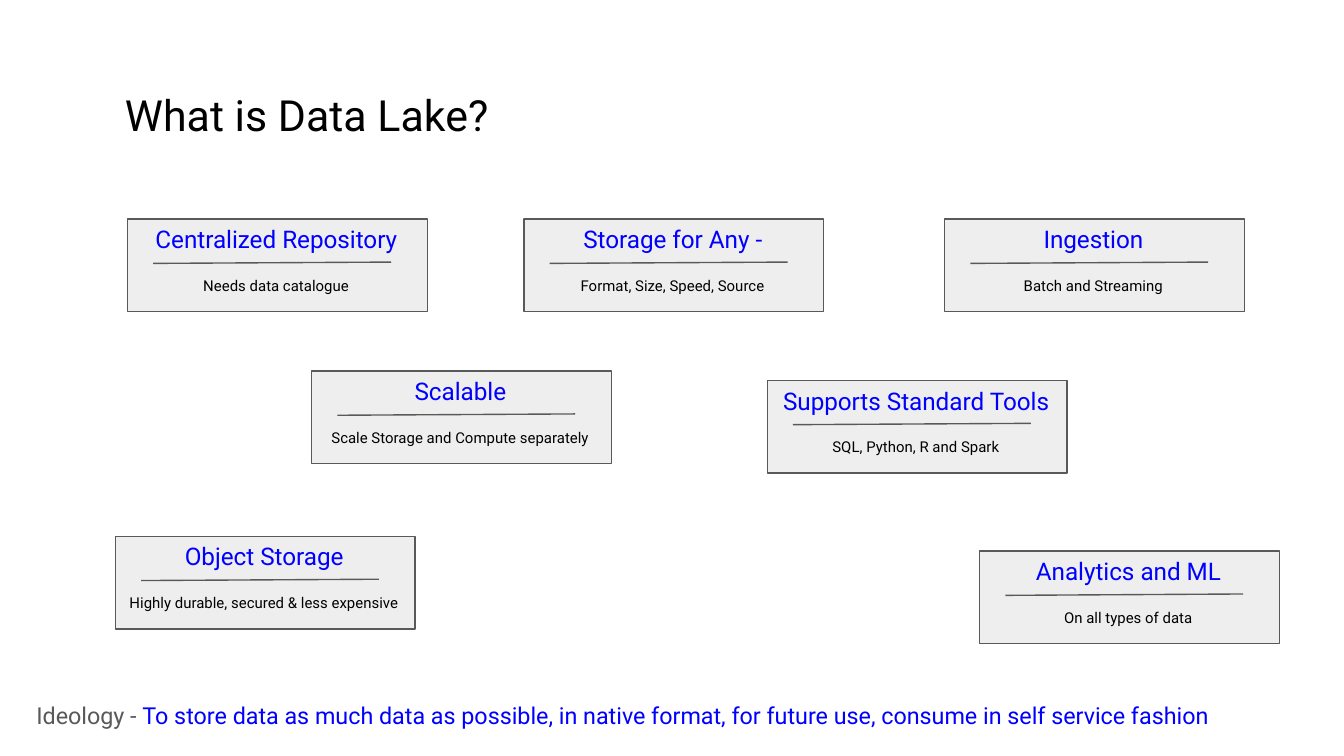
from dataclasses import dataclass

from lxml.etree import SubElement
from pptx import Presentation
from pptx.dml.color import RGBColor
from pptx.enum.shapes import MSO_CONNECTOR, MSO_SHAPE
from pptx.enum.text import MSO_ANCHOR, MSO_AUTO_SIZE, PP_ALIGN
from pptx.oxml.ns import qn
from pptx.shapes.group import GroupShape
from pptx.slide import Slide
from pptx.text.text import TextFrame, _Paragraph
from pptx.util import Inches, Pt


@dataclass(frozen=True)
class Theme:
    font: str = "Roboto"
    black: RGBColor = RGBColor(0x00, 0x00, 0x00)
    blue: RGBColor = RGBColor(0x00, 0x00, 0xFF)
    gray: RGBColor = RGBColor(0x59, 0x59, 0x59)
    panel: RGBColor = RGBColor(0xEE, 0xEE, 0xEE)
    title_size: float = 23
    heading_size: float = 13
    ideology_size: float = 12.5
    detail_size: float = 8
    line_width: float = 0.75


@dataclass(frozen=True)
class Card:
    heading: str
    detail: str
    left: float
    top: float


THEME = Theme()
CARD_W, CARD_H = 2.23, 0.69
TEXT_W, TEXT_DX = 2.39, -0.09
INSET = 0.1

CARDS = [
    Card("Centralized Repository", "Needs data catalogue", 0.95, 1.63),
    Card("Storage for Any -", "Format, Size, Speed, Source", 3.9, 1.63),
    Card("Ingestion", "Batch and Streaming", 7.03, 1.63),
    Card("Object Storage", "Highly durable, secured & less expensive", 0.86, 3.99),
    Card("Supports Standard Tools", "SQL, Python, R and Spark", 5.71, 2.83),
    Card("Analytics and ML", "On all types of data", 7.29, 4.1),
    Card("Scalable", "Scale Storage and Compute separately", 2.32, 2.76),
]


def add_run(p: _Paragraph, text: str, size: float, color: RGBColor) -> None:
    r = p.add_run()
    r.text = text
    r.font.name = THEME.font
    r.font.size = Pt(size)
    r.font.color.rgb = color


def set_frame(tf: TextFrame, inset: float, anchor: MSO_ANCHOR) -> None:
    tf.margin_left = tf.margin_right = Inches(inset)
    tf.margin_top = tf.margin_bottom = Inches(inset)
    tf.vertical_anchor = anchor
    tf.word_wrap = True
    tf.auto_size = MSO_AUTO_SIZE.NONE


def place(sp, left: float, top: float, width: float, height: float) -> None:
    sp.left, sp.top = Inches(left), Inches(top)
    sp.width, sp.height = Inches(width), Inches(height)


def add_label(group: GroupShape, text: str, left: float, top: float,
              height: float, size: float, color: RGBColor) -> None:
    box = group.shapes.add_textbox(
        Inches(left), Inches(top), Inches(TEXT_W), Inches(height))
    tf = box.text_frame
    set_frame(tf, INSET, MSO_ANCHOR.TOP)
    tf.auto_size = MSO_AUTO_SIZE.SHAPE_TO_FIT_TEXT
    p = tf.paragraphs[0]
    p.alignment = PP_ALIGN.CENTER
    add_run(p, text, size, color)


def add_card(slide: Slide, card: Card) -> None:
    group = slide.shapes.add_group_shape()
    x, y = card.left, card.top

    panel = group.shapes.add_shape(
        MSO_SHAPE.RECTANGLE, Inches(x), Inches(y), Inches(CARD_W), Inches(CARD_H))
    panel.shadow.inherit = False
    panel.fill.solid()
    panel.fill.fore_color.rgb = THEME.panel
    panel.line.color.rgb = THEME.gray
    panel.line.width = Pt(THEME.line_width)

    add_label(group, card.heading, x + TEXT_DX, y - 0.06, 0.42,
              THEME.heading_size, THEME.blue)

    rule = group.shapes.add_connector(
        MSO_CONNECTOR.STRAIGHT, Inches(x + 0.19), Inches(y + 0.33),
        Inches(x + 1.96), Inches(y + 0.32))
    rule.line.color.rgb = THEME.gray
    rule.line.width = Pt(THEME.line_width)
    SubElement(rule._element.spPr, qn("a:effectLst"))

    add_label(group, card.detail, x + TEXT_DX, y + 0.36, 0.34,
              THEME.detail_size, THEME.black)


def set_title(slide: Slide) -> None:
    title = slide.shapes.title
    place(title, 0.93, 0.64, 5.28, 0.4)
    set_frame(title.text_frame, 0, MSO_ANCHOR.BOTTOM)
    p = title.text_frame.paragraphs[0]
    p.alignment = PP_ALIGN.LEFT
    add_run(p, "What is Data Lake?", THEME.title_size, THEME.black)


def set_ideology(slide: Slide) -> None:
    body = slide.placeholders[1]
    place(body, 0.17, 5.01, 9.66, 0.47)
    set_frame(body.text_frame, INSET, MSO_ANCHOR.TOP)
    p = body.text_frame.paragraphs[0]
    pPr = p._p.get_or_add_pPr()
    pPr.set("marL", "0")
    pPr.set("indent", "0")
    SubElement(pPr, qn("a:buNone"))
    p.line_spacing = 1.5
    p.space_before = Pt(0)
    p.space_after = Pt(12)
    add_run(p, "Ideology - ", THEME.ideology_size, THEME.gray)
    add_run(p, "To store data as much data as possible, in native format, "
               "for future use, consume in self service fashion",
            THEME.ideology_size, THEME.blue)


def main() -> None:
    prs = Presentation()
    prs.slide_width = Inches(10)
    prs.slide_height = prs.slide_width * 9 // 16
    slide = prs.slides.add_slide(prs.slide_layouts[1])
    set_title(slide)
    set_ideology(slide)
    for card in CARDS:
        add_card(slide, card)
    prs.save("out.pptx")


if __name__ == "__main__":
    main()
